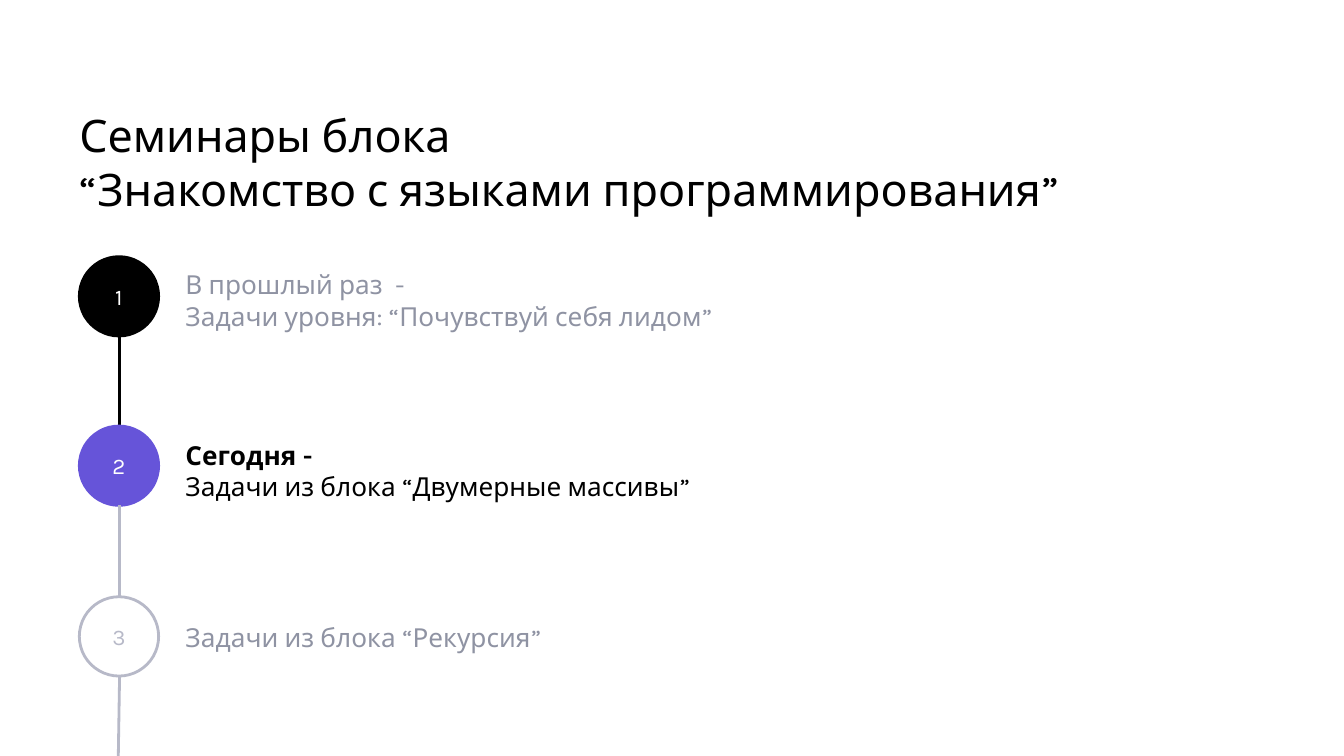
from pptx import Presentation
from pptx.dml.color import RGBColor
from pptx.enum.shapes import MSO_CONNECTOR as Connector, MSO_SHAPE as Shape
from pptx.enum.text import MSO_ANCHOR as Anchor, PP_ALIGN as Align
from pptx.oxml.ns import qn
from pptx.util import Inches, Pt
from lxml import etree

FONT = "Karla"
BLACK, WHITE, PURPLE = "000000", "FFFFFF", "6654D9"
GREY, PALE = "8F93A3", "B7B9C8"

# Timeline grid, in inches
CIRCLE_LEFT, CIRCLE_SIZE = 0.59, 0.59
CIRCLE_TOPS = [1.91, 3.17, 4.44]
AXIS = 0.89
TEXT_LEFT = 1.38

# Each step: circle fill, outline, number colour
STYLES = [
    (BLACK, BLACK, WHITE),
    (PURPLE, PURPLE, WHITE),
    (WHITE, PALE, PALE),
]
# Each line runs from a circle to: end x, end y, colour
LINKS = [
    (AXIS, CIRCLE_TOPS[1], BLACK),
    (AXIS, CIRCLE_TOPS[2], PALE),
    (0.88, 5.64, PALE),
]
# Each label: top, width, height, colour, bold first line, lines
LABELS = [
    (1.9, 5.79, 0.61, GREY, False,
     ["В прошлый раз  -", "Задачи уровня: “Почувствуй себя лидом”"]),
    (3.17, 4.86, 0.59, BLACK, True,
     ["Сегодня -", "Задачи из блока “Двумерные массивы”"]),
    (4.52, 4.93, 0.41, GREY, False, ["Задачи из блока “Рекурсия”"]),
]
TITLE = ["Семинары блока", "“Знакомство с языками программирования”"]


def color(value):
    return RGBColor.from_string(value)


def set_all(target, values):
    for name, value in values.items():
        setattr(target, name, value)


def set_frame(frame, insets, anchor):
    sides = ("left", "top", "right", "bottom")
    margins = {f"margin_{side}": Inches(inset)
               for side, inset in zip(sides, insets)}
    set_all(frame, {"word_wrap": True, "vertical_anchor": anchor, **margins})


def write_line(para, text, size, ink, bold=False):
    span = para.add_run()
    span.text = text
    set_all(span.font, {"name": FONT, "size": Pt(size), "bold": bold})
    span.font.color.rgb = color(ink)


def add_text(page, place, lines, size, ink, insets, bold_first=False):
    box = page.shapes.add_textbox(*map(Inches, place))
    frame = box.text_frame
    set_frame(frame, insets, Anchor.TOP)
    for index, text in enumerate(lines):
        para = frame.add_paragraph() if index else frame.paragraphs[0]
        write_line(para, text, size, ink, bold_first and index == 0)


def add_circle(page, top, number, fill, outline, ink):
    place = (CIRCLE_LEFT, top, CIRCLE_SIZE, CIRCLE_SIZE)
    circle = page.shapes.add_shape(Shape.OVAL, *map(Inches, place))
    circle.shadow.inherit = False
    circle.fill.solid()
    circle.fill.fore_color.rgb = color(fill)
    circle.line.color.rgb = color(outline)
    circle.line.width = Pt(1.5)
    set_frame(circle.text_frame, [0.1] * 4, Anchor.MIDDLE)
    para = circle.text_frame.paragraphs[0]
    para.alignment = Align.CENTER
    write_line(para, str(number), 12, ink)


def add_line(page, top, end_x, end_y, ink):
    ends = (AXIS, top, end_x, end_y)
    line = page.shapes.add_connector(Connector.STRAIGHT, *map(Inches, ends))
    line.line.color.rgb = color(ink)
    line.line.width = Pt(1.5)
    etree.SubElement(line._element.spPr, qn("a:effectLst"))


def main():
    deck = Presentation()
    width = Inches(10)
    set_all(deck, {"slide_width": width, "slide_height": width * 9 // 16})
    page = deck.slides.add_slide(deck.slide_layouts[6])

    # Title
    add_text(page, (0.59, 0.79, 8.82, 0.35), TITLE, 24, BLACK,
             (0, 0.01, 0, 0))

    # Numbered circles, each with the line that leads on from it
    steps = zip(CIRCLE_TOPS, STYLES, LINKS)
    for number, (top, style, link) in enumerate(steps, start=1):
        add_circle(page, top, number, *style)
        add_line(page, top + CIRCLE_SIZE, *link)

    # Step descriptions
    for top, width, height, ink, bold_first, lines in LABELS:
        add_text(page, (TEXT_LEFT, top, width, height), lines, 14, ink,
                 (0, 0.1, 0.1, 0.1), bold_first)

    deck.save("out.pptx")


if __name__ == "__main__":
    main()
